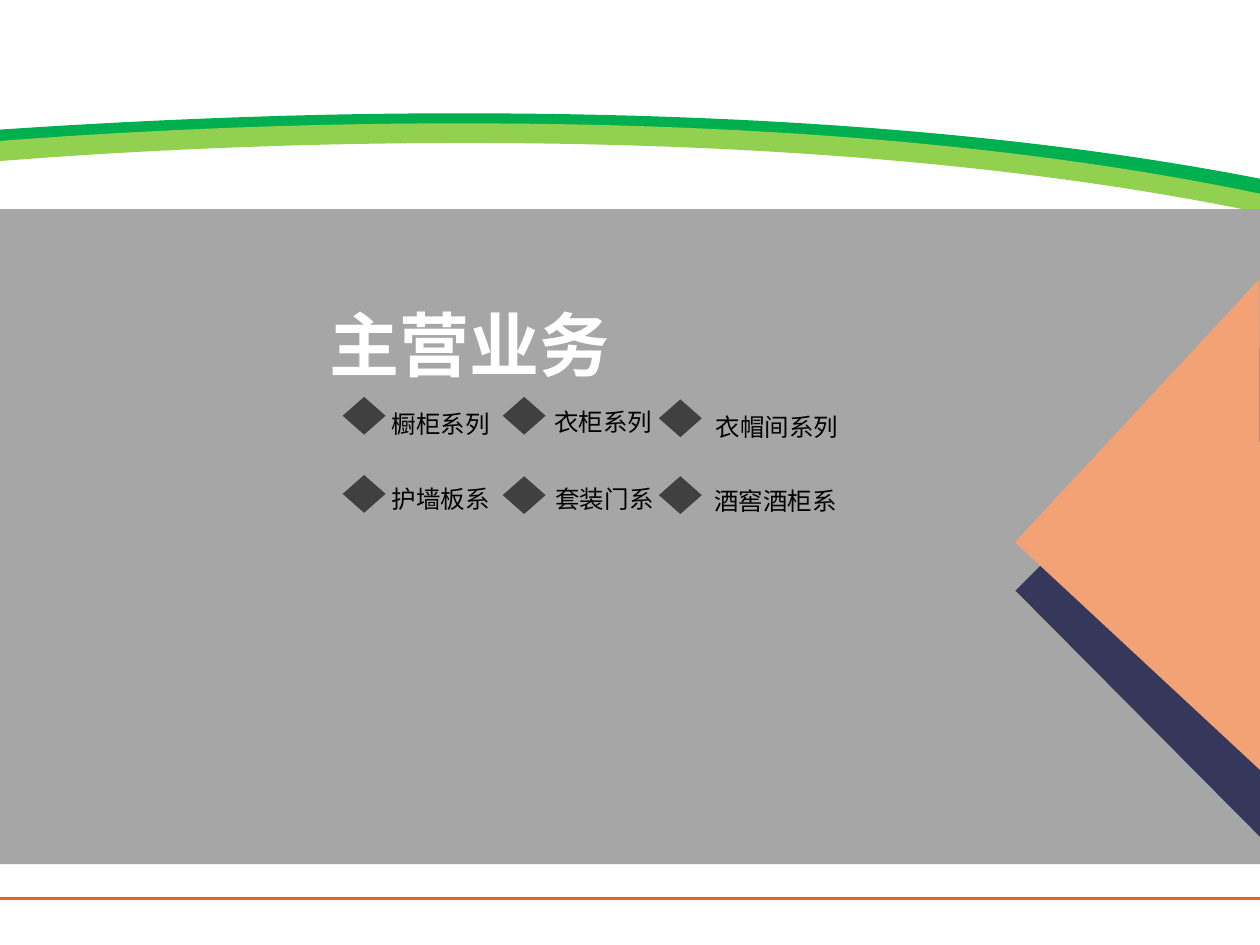
"""Build the main business slide with its curved bands and six product series."""
from dataclasses import dataclass

from pptx import Presentation
from pptx.dml.color import RGBColor
from pptx.enum.shapes import MSO_CONNECTOR, MSO_SHAPE
from pptx.enum.text import MSO_AUTO_SIZE
from pptx.oxml.ns import qn
from pptx.util import Inches, Pt

RECTANGLE = MSO_SHAPE.RECTANGLE
DIAMOND = MSO_SHAPE.DIAMOND
RIGHT_TRIANGLE = MSO_SHAPE.RIGHT_TRIANGLE
STRAIGHT = MSO_CONNECTOR.STRAIGHT
GROW = MSO_AUTO_SIZE.SHAPE_TO_FIT_TEXT

SLIDE_WIDTH, SLIDE_HEIGHT = Inches(10), Inches(7.5)
COLUMN, ROW = SLIDE_WIDTH / 10, SLIDE_HEIGHT / 7.5

GREEN = RGBColor(0x00, 0xB0, 0x50)
LIME = RGBColor(0x92, 0xD0, 0x50)
ORANGE = RGBColor(0xEB, 0x64, 0x1B)
PEACH = RGBColor(0xF3, 0xA2, 0x76)
NAVY = RGBColor(0x35, 0x38, 0x5A)
GRAY = RGBColor(0xA6, 0xA6, 0xA6)
CHARCOAL = RGBColor(0x40, 0x40, 0x40)
BLACK = RGBColor(0x00, 0x00, 0x00)
WHITE = RGBColor(0xFF, 0xFF, 0xFF)

Point = tuple[float, float]


@dataclass(frozen=True)
class Box:
    """Place on the slide grid, in columns and rows."""
    left: float
    top: float
    width: float
    height: float

    def lengths(self) -> tuple[int, int, int, int]:
        """Return left, top, width and height as slide lengths."""
        return (round(self.left * COLUMN), round(self.top * ROW),
                round(self.width * COLUMN), round(self.height * ROW))


@dataclass(frozen=True)
class Band:
    """Curved band: two curves on the upper edge and one on the lower edge."""
    color: RGBColor
    crest_to_right: tuple[Point, ...]
    right_to_left: tuple[Point, ...]
    left_to_crest: tuple[Point, ...]


@dataclass(frozen=True)
class Series:
    """Product series with its diamond marker and label."""
    name: str
    marker: Point
    label: Box


BANDS = (
    Band(GREEN,
         ((3.93, 0.9), (5.89, 0.91), (8.07, 1.04), (10.01, 1.42)),
         ((10.01, 1.57), (6.57, 0.89), (2.36, 1.01), (-0.02, 1.18)),
         ((-0.02, 1.03), (1.02, 0.96), (2.41, 0.89), (3.93, 0.9))),
    Band(LIME,
         ((3.93, 0.98), (5.89, 0.99), (8.07, 1.13), (10.01, 1.54)),
         ((10.01, 1.69), (6.57, 0.97), (2.36, 1.09), (-0.02, 1.28)),
         ((-0.02, 1.12), (1.02, 1.04), (2.41, 0.97), (3.93, 0.98))),
)

SERIES = (
    Series("橱柜系列", (2.72, 3.15), Box(3.01, 3.13, 1.1, 0.38)),
    Series("衣柜系列", (3.99, 3.15), Box(4.3, 3.11, 1.18, 0.38)),
    Series("衣帽间系列", (5.23, 3.17), Box(5.58, 3.15, 1.31, 0.41)),
    Series("护墙板系", (2.72, 3.77), Box(3.01, 3.72, 1.05, 0.41)),
    Series("套装门系", (3.99, 3.78), Box(4.31, 3.72, 1.18, 0.41)),
    Series("酒窖酒柜系", (5.23, 3.78), Box(5.57, 3.74, 1.32, 0.41)),
)


def paint(shape, color: RGBColor) -> None:
    """Give a shape a plain fill without line or shadow."""
    shape.shadow.inherit = False
    shape.fill.solid()
    shape.fill.fore_color.rgb = color
    shape.line.fill.background()


def bend(lines: list) -> None:
    """Turn three straight segments into one cubic curve."""
    curve = lines[0].makeelement(qn("a:cubicBezTo"), {})
    lines[0].addprevious(curve)
    for line in lines:
        curve.append(line[0])
        line.getparent().remove(line)


def draw_band(slide, band: Band) -> None:
    """Draw one curved band."""
    points = [(round(x * COLUMN), round(y * ROW))
              for x, y in band.crest_to_right + band.right_to_left + band.left_to_crest]
    builder = slide.shapes.build_freeform(*points[0])
    builder.add_line_segments(points[1:], close=True)
    shape = builder.convert_to_shape()
    lines = list(shape.element.iter(qn("a:lnTo")))
    for first in range(0, len(lines), 4):
        bend(lines[first:first + 3])
    paint(shape, band.color)


def draw_shape(slide, kind, box: Box, color: RGBColor, rotation: float = 0) -> None:
    """Draw a plain preset shape."""
    shape = slide.shapes.add_shape(kind, *box.lengths())
    shape.rotation = rotation
    paint(shape, color)


def draw_text(slide, text: str, box: Box, size: float, font_name: str,
              color: RGBColor, bold: bool = False) -> None:
    """Draw one line of text."""
    frame = slide.shapes.add_textbox(*box.lengths()).text_frame
    frame.word_wrap = True
    frame.auto_size = GROW
    paragraph = frame.paragraphs[0]
    paragraph.text = text
    paragraph.line_spacing = 1.3
    font = paragraph.font
    font.size, font.name, font.bold = Pt(size), font_name, bold
    font.color.rgb = color


def draw_footer_line(slide) -> None:
    """Draw the rule across the foot of the slide."""
    height = round(7.13 * ROW)
    connector = slide.shapes.add_connector(STRAIGHT, 0, height, SLIDE_WIDTH, height)
    connector.line.color.rgb = ORANGE
    connector.line.width = Pt(1.5)
    properties = connector.element.spPr
    properties.append(properties.makeelement(qn("a:effectLst"), {}))


def main() -> None:
    """Build and save the presentation."""
    presentation = Presentation()
    presentation.slide_width, presentation.slide_height = SLIDE_WIDTH, SLIDE_HEIGHT
    slide = presentation.slides.add_slide(presentation.slide_layouts[6])
    for band in BANDS:
        draw_band(slide, band)
    draw_footer_line(slide)
    draw_shape(slide, RECTANGLE, Box(0, 1.66, 10, 5.2), GRAY)
    draw_text(slide, "主营业务", Box(2.52, 2.14, 3.09, 0.89), 40,
              "Noto Sans CJK SC", WHITE, bold=True)
    for series in SERIES:
        draw_text(slide, series.name, series.label, 14, "Arial", BLACK)
    for series in SERIES:
        draw_shape(slide, DIAMOND, Box(*series.marker, 0.34, 0.3), CHARCOAL)
    draw_shape(slide, RIGHT_TRIANGLE, Box(8.62, 3.34, 2.76, 2.73), NAVY, 45.2)
    draw_shape(slide, RIGHT_TRIANGLE, Box(8.67, 2.74, 2.66, 2.85), PEACH, 42.9)
    presentation.save("out.pptx")


if __name__ == "__main__":
    main()
